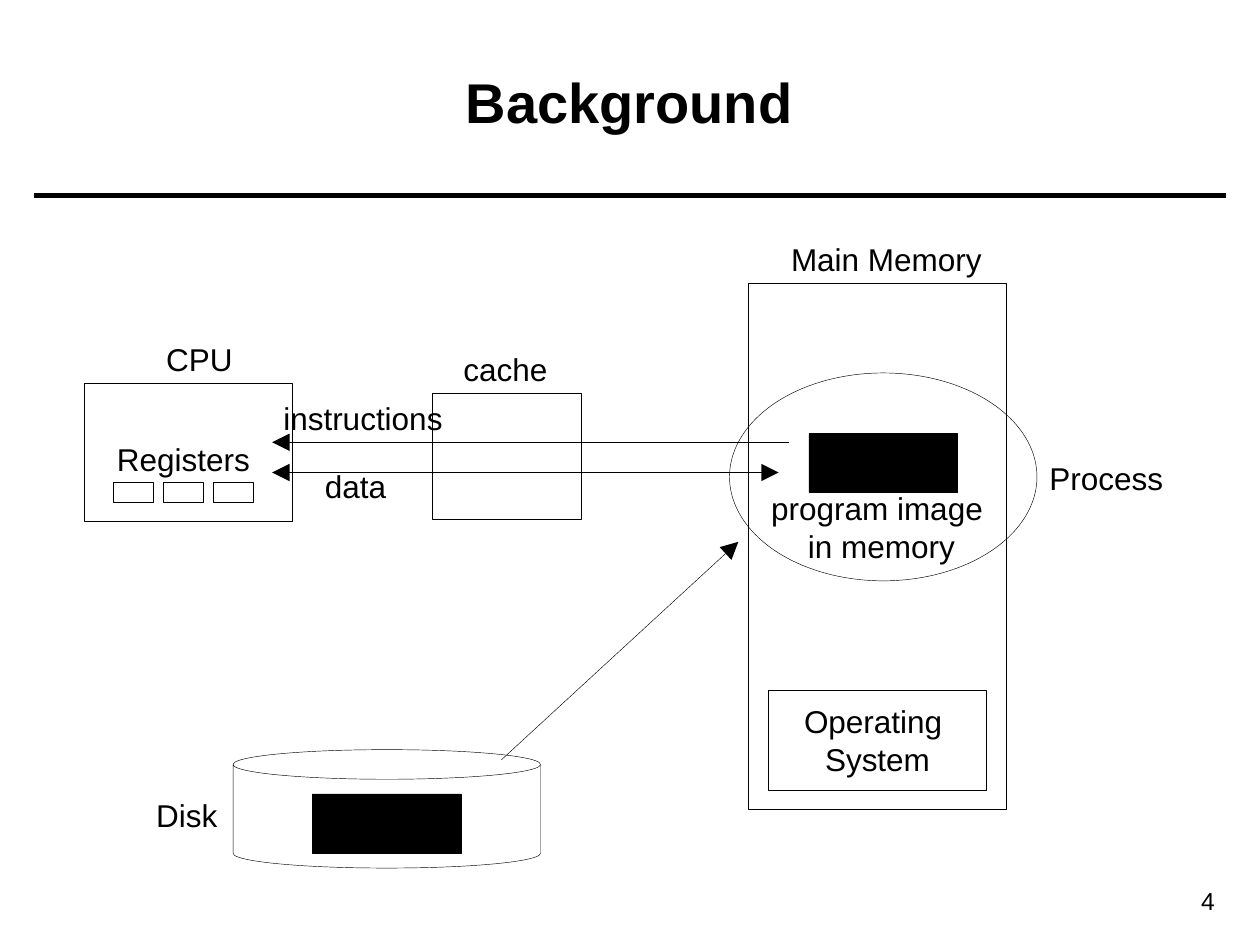
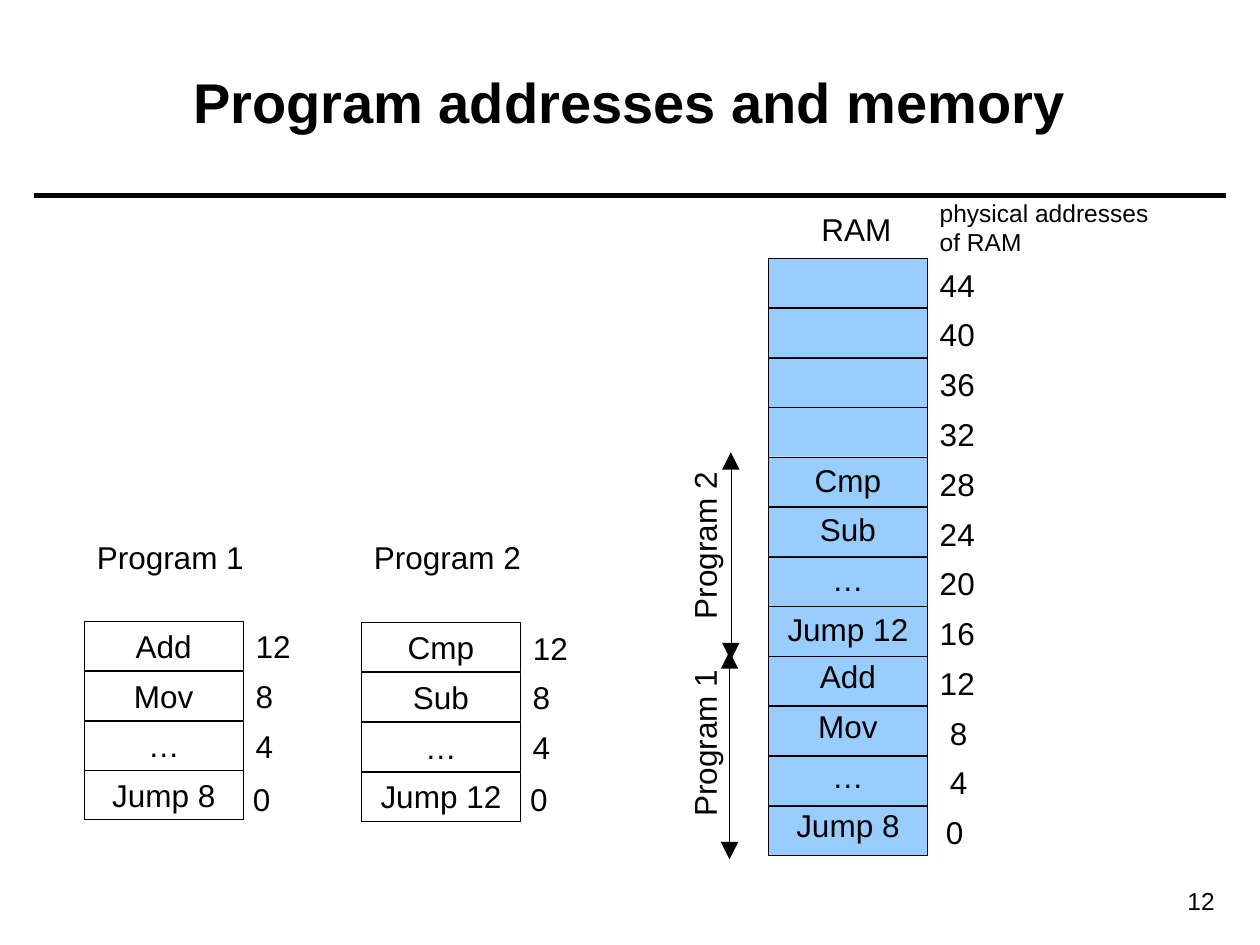
from dataclasses import dataclass

from lxml import etree
from pptx import Presentation
from pptx.dml.color import RGBColor
from pptx.enum.shapes import MSO_CONNECTOR, MSO_SHAPE
from pptx.enum.text import MSO_ANCHOR, MSO_AUTO_SIZE, PP_ALIGN
from pptx.oxml.ns import qn
from pptx.util import Inches, Pt

RECTANGLE, ELLIPSE, CAN = MSO_SHAPE.RECTANGLE, MSO_SHAPE.OVAL, MSO_SHAPE.CAN
STRAIGHT = MSO_CONNECTOR.STRAIGHT
LEFT, CENTER, RIGHT = PP_ALIGN.LEFT, PP_ALIGN.CENTER, PP_ALIGN.RIGHT
TOP, MIDDLE = MSO_ANCHOR.TOP, MSO_ANCHOR.MIDDLE
FIT_SHAPE, NO_FIT = MSO_AUTO_SIZE.SHAPE_TO_FIT_TEXT, MSO_AUTO_SIZE.NONE


@dataclass(frozen=True)
class Theme:
    font: str = "Arial"
    ink: RGBColor = RGBColor(0, 0, 0)
    memory: RGBColor = RGBColor(0x99, 0xCC, 0xFF)
    title_size: int = 32
    label_size: int = 18
    small_size: int = 14
    thin: float = 0.25
    rule: float = 3


theme = Theme()


def add_item(slide, text, left, top, width, height, kind=None, fill=None, size=theme.label_size,
             bold=False, align=LEFT, anchor=TOP, wrap=False, auto_size=NO_FIT, rotation=0,
             placeholder=None):
    """Place text in a placeholder, an outlined preset shape, or a text box."""
    box = [Inches(value) for value in (left, top, width, height)]
    if placeholder is not None:
        shape = placeholder
        shape.left, shape.top, shape.width, shape.height = box
    elif kind is None:
        shape = slide.shapes.add_textbox(*box)
    else:
        shape = slide.shapes.add_shape(kind, *box)
        shape.shadow.inherit = False
        shape.line.color.rgb = theme.ink
        shape.line.width = Pt(theme.thin)
        if fill is None:
            shape.fill.background()
        else:
            shape.fill.solid()
            shape.fill.fore_color.rgb = fill
    shape.rotation = rotation
    if not text:
        return shape
    frame = shape.text_frame
    frame.text = text
    frame.word_wrap = wrap
    frame.auto_size = auto_size
    frame.vertical_anchor = anchor
    for paragraph in frame.paragraphs:
        paragraph.alignment = align
        for run in paragraph.runs:
            run.font.name = theme.font
            run.font.size = Pt(size)
            run.font.bold = bold
            run.font.color.rgb = theme.ink
    return shape


def add_line(slide, start, end, width=theme.thin, arrows=()):
    """Draw a line; arrows may hold headEnd (at start) and tailEnd (at end)."""
    line = slide.shapes.add_connector(STRAIGHT, *[Inches(value) for value in (*start, *end)])
    line.line.color.rgb = theme.ink
    line.line.width = Pt(width)
    for arrow in arrows:
        etree.SubElement(line.line._get_or_add_ln(), qn(f"a:{arrow}"),
                         type="triangle", w="lg", len="lg")
    etree.SubElement(line._element.spPr, qn("a:effectLst"))


presentation = Presentation()
presentation.slide_width, presentation.slide_height = Inches(10), Inches(7.5)
title_only = presentation.slide_layouts[5]

# Shared title, rule and page number
slides = []
for title, number in (("Background", "4"), ("Program addresses and memory", "12")):
    slide = presentation.slides.add_slide(title_only)
    add_line(slide, (0.27, 1.55), (9.73, 1.55), width=theme.rule)
    add_item(slide, number, 8.7, 6.98, 1.04, 0.34, size=theme.small_size, align=RIGHT, wrap=True)
    add_item(slide, title, 0.35, 0.18, 9.29, 1.25, size=theme.title_size, bold=True, align=CENTER,
             anchor=MIDDLE, wrap=True, placeholder=slide.shapes.title)
    slides.append(slide)
background, addresses = slides

# Background: machine parts
for kind, fill, *box in (
    (RECTANGLE, None, 5.94, 2.25, 2.05, 4.17),
    (CAN, None, 1.85, 5.95, 2.44, 0.94),
    (RECTANGLE, None, 0.67, 3.04, 1.65, 1.1),
    (RECTANGLE, None, 3.43, 3.12, 1.18, 1),
    (RECTANGLE, theme.ink, 6.42, 3.44, 1.18, 0.47),
    (RECTANGLE, theme.ink, 2.48, 6.3, 1.18, 0.47),
    (ELLIPSE, None, 5.79, 2.96, 2.44, 1.65),
):
    add_item(background, "", *box, kind=kind, fill=fill)
for register in range(3):
    add_item(background, "", 0.9 + 0.395 * register, 3.83, 0.32, 0.16, kind=RECTANGLE)
add_item(background, "Operating \vSystem", 6.1, 5.48, 1.73, 0.79, kind=RECTANGLE,
         align=CENTER, anchor=MIDDLE)

# Background: labels and data flow
for text, *box in (
    ("Main Memory", 6.18, 1.86, 1.74, 0.4),
    ("Disk", 1.14, 6.27, 0.71, 0.4),
    ("CPU", 1.22, 2.65, 0.76, 0.4),
    ("Registers", 0.83, 3.44, 1.28, 0.4),
    ("cache", 3.58, 2.73, 0.89, 0.4),
    ("Process", 8.23, 3.59, 1.13, 0.4),
    ("instructions", 2.15, 3.12, 1.49, 0.4),
    ("data", 2.48, 3.66, 0.71, 0.4),
):
    add_item(background, text, *box, auto_size=FIT_SHAPE)
add_item(background, "program image \nin memory", 6.02, 3.83, 1.95, 0.7, align=CENTER,
         auto_size=FIT_SHAPE)
add_line(background, (3.98, 6.03), (5.86, 4.3), arrows=["tailEnd"])
add_line(background, (6.26, 3.51), (2.16, 3.51), arrows=["tailEnd"])
add_line(background, (2.16, 3.75), (6.18, 3.75), arrows=["headEnd", "tailEnd"])

# Program addresses: each program in its own address space
cell_width, cell_height, cell_step = 1.26, 0.39, 0.395
name_width = 1.4
programs = {
    "Program 1": ["Add", "Mov", "…", "Jump 8"],
    "Program 2": ["Cmp", "Sub", "…", "Jump 12"],
}
for (name, instructions), left, top in zip(programs.items(), (0.67, 2.87), (4.93, 4.94)):
    add_item(addresses, name, left, 4.22, name_width, 0.4, auto_size=FIT_SHAPE)
    for row, instruction in enumerate(instructions):
        cell_top = top + cell_step * row
        address = 12 - 4 * row
        add_item(addresses, instruction, left, cell_top, cell_width, cell_height,
                 kind=RECTANGLE, align=CENTER, anchor=MIDDLE)
        add_item(addresses, str(address), left + (1.26 if address else 1.24),
                 cell_top if address else 6.14, 0.48 if address > 9 else 0.34, 0.4,
                 auto_size=FIT_SHAPE)

# Program addresses: both programs loaded in RAM
ram_left, ram_top = 6.1, 2.05
address_lefts = {8: 7.44, 4: 7.44, 0: 7.41}
for row in range(12):
    address = 44 - 4 * row
    add_item(addresses, "", ram_left, ram_top + cell_step * row, cell_width, cell_height,
             kind=RECTANGLE, fill=theme.memory)
    add_item(addresses, str(address), address_lefts.get(address, 7.36), 2.06 + 0.395 * row,
             0.48 if address > 9 else 0.34, 0.4, auto_size=FIT_SHAPE)
add_item(addresses, "RAM", 6.42, 1.62, 0.78, 0.4, auto_size=FIT_SHAPE)
add_item(addresses, "physical addresses\nof RAM", 7.36, 1.52, 1.9, 0.57, size=theme.small_size,
         auto_size=FIT_SHAPE)
for name, text_top, arrow_left, arrow_top, name_top in (
    ("Program 1", 5.17, 5.79, 5.17, 5.7),
    ("Program 2", 3.61, 5.8, 3.59, 4.13),
):
    for row, instruction in enumerate(programs[name]):
        add_item(addresses, instruction, ram_left, text_top + cell_step * row, cell_width,
                 cell_height, align=CENTER, anchor=MIDDLE)
    add_line(addresses, (arrow_left, arrow_top), (arrow_left, arrow_top + 1.65),
             arrows=["headEnd", "tailEnd"])
    add_item(addresses, name, 4.89, name_top, name_width, 0.4, align=CENTER, rotation=270,
             auto_size=FIT_SHAPE)

presentation.save("out.pptx")
